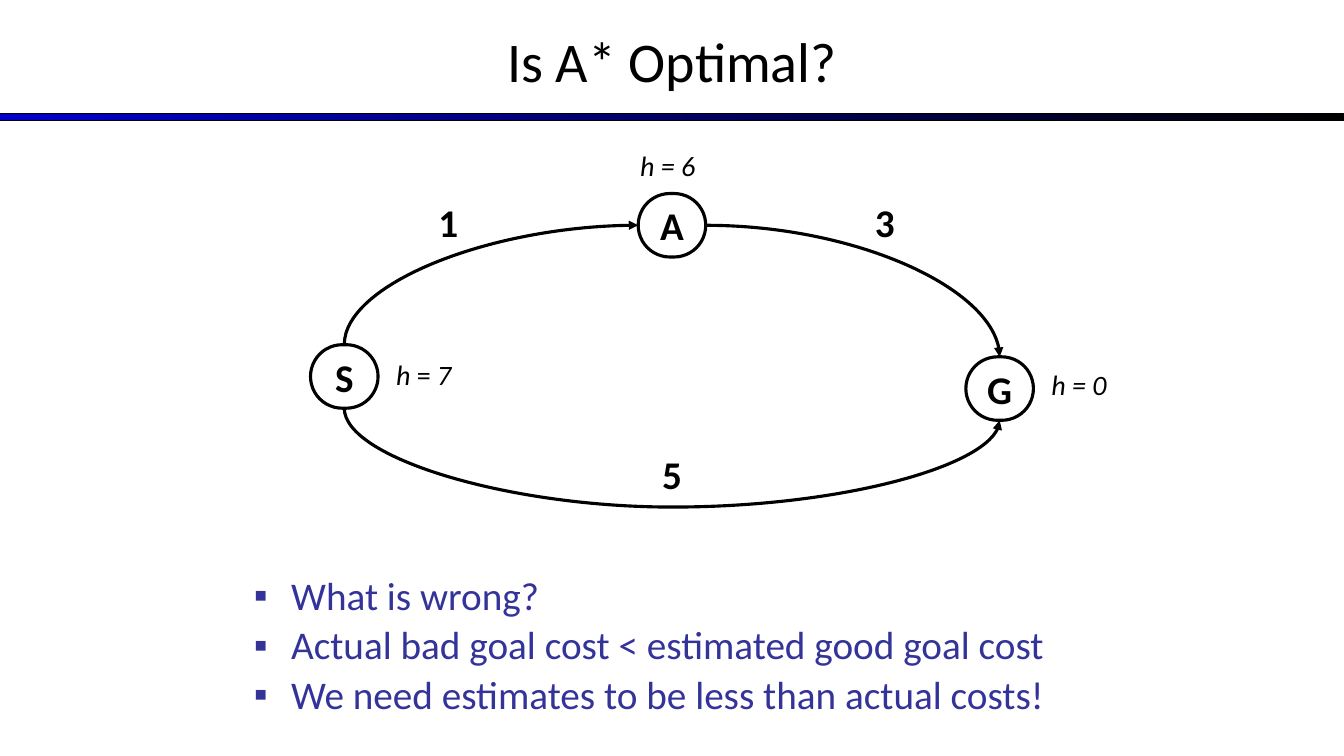
from math import cos, radians, sin

from lxml import etree
from pptx import Presentation
from pptx.dml.color import RGBColor
from pptx.enum.shapes import MSO_CONNECTOR, MSO_SHAPE
from pptx.enum.text import MSO_ANCHOR as Anchor, PP_ALIGN as Align
from pptx.oxml.ns import qn
from pptx.util import Inches, Pt

COLORS = {"ink": "000000", "rule": "0000CC", "bullet": "333399"}
FONT = "Calibri"
SLIDE_W, SLIDE_H = 13.33, 7.5
NODE_W, NODE_H = 0.67, 0.63
LINE_WIDTH = 2.25

TITLE = "Is A* Optimal?"
POINTS = [
    "What is wrong?",
    "Actual bad goal cost < estimated good goal cost",
    "We need estimates to be less than actual costs!",
]
NODES = {"A": (6.33, 1.92), "G": (9.58, 3.54), "S": (3.08, 3.42)}
# text, left, top, width, alignment
COSTS = [
    ("1", 4.25, 1.92, 0.5, Align.LEFT),
    ("3", 8.58, 1.92, 0.5, Align.LEFT),
    ("5", 0, 4.42, SLIDE_W, Align.CENTER),
]
# (text, italic) runs, left, top, width
HEURISTICS = [
    ([("h = 6", True)], 6.25, 1.42, 1),
    ([("h = 0", True)], 10.33, 3.6, 1),
    ([("h", True), (" = ", False), ("7", True)], 3.83, 3.5, 0.83),
]
# start node and side, end node and side, preset, rotation, sag below the start
EDGES = [
    ("S", "bottom", "G", "bottom", "curvedConnector3", 270, 0.98),
    ("S", "top", "A", "left", "curvedConnector2", 90, None),
    ("A", "right", "G", "top", "curvedConnector2", 0, None),
]
SIDES = {"top": (0.5, 0), "left": (0, 0.5), "bottom": (0.5, 1), "right": (1, 0.5)}


def rgb(name):
    return RGBColor.from_string(COLORS[name])


def add_run(paragraph, text, size, color="ink", **styles):
    run = paragraph.add_run()
    run.text = text
    run.font.color.rgb = rgb(color)
    for key, value in {"name": FONT, "size": Pt(size), **styles}.items():
        setattr(run.font, key, value)


def add_box(slide, left, top, width, height, anchor=Anchor.TOP):
    box = slide.shapes.add_textbox(*map(Inches, (left, top, width, height)))
    box.text_frame.word_wrap = True
    box.text_frame.vertical_anchor = anchor
    return box.text_frame


def add_rule(slide):
    rule = slide.shapes.add_shape(
        MSO_SHAPE.RECTANGLE, 0, Inches(1.13), Inches(SLIDE_W), Inches(0.07))
    rule.shadow.inherit = False
    rule.fill.gradient()
    rule.fill.gradient_angle = 0
    for stop, name in zip(rule.fill.gradient_stops, ("rule", "ink")):
        stop.color.rgb = rgb(name)
    rule.line.color.rgb = rgb("ink")
    rule.line.width = Pt(0.75)


def add_points(slide):
    frame = add_box(slide, 2.42, 5.67, 10.47, 1.03)
    for i, point in enumerate(POINTS):
        paragraph = frame.paragraphs[0] if i == 0 else frame.add_paragraph()
        paragraph.line_spacing = 0.9
        paragraph.space_before = Pt(5 if i else 0)
        props = paragraph._p.get_or_add_pPr()
        props.set("marL", str(Inches(0.37)))
        props.set("indent", str(-Inches(0.37)))
        color = etree.SubElement(props, qn("a:buClr"))
        etree.SubElement(color, qn("a:srgbClr"), val=COLORS["bullet"])
        etree.SubElement(props, qn("a:buFont"), typeface="Arial")
        etree.SubElement(props, qn("a:buChar"), char="▪")
        add_run(paragraph, point, 28, "bullet")


def add_node(slide, name, left, top):
    node = slide.shapes.add_shape(
        MSO_SHAPE.ROUNDED_RECTANGLE, *map(Inches, (left, top, NODE_W, NODE_H)))
    node.shadow.inherit = False
    node.adjustments[0] = 0.5
    node.fill.background()
    node.line.color.rgb = rgb("ink")
    node.line.width = Pt(LINE_WIDTH)
    frame = node.text_frame
    frame.word_wrap = False
    frame.vertical_anchor = Anchor.MIDDLE
    frame.paragraphs[0].alignment = Align.CENTER
    add_run(frame.paragraphs[0], name, 28, bold=True)


def port(name, side):
    """Return the point in the middle of a node's side."""
    (left, top), (across, down) = NODES[name], SIDES[side]
    return left + across * NODE_W, top + down * NODE_H


def add_edge(slide, source, source_side, target, target_side, preset, rotation, sag):
    """Turn the end points back about their centre, then rotate the curve."""
    (x1, y1), (x2, y2) = port(source, source_side), port(target, target_side)
    mid_x, mid_y = (x1 + x2) / 2, (y1 + y2) / 2
    c, s = cos(radians(rotation)), sin(radians(rotation))
    ends = []
    for x, y in ((x1 - mid_x, y1 - mid_y), (x2 - mid_x, y2 - mid_y)):
        ends += [mid_x + x * c + y * s, mid_y - x * s + y * c]
    edge = slide.shapes.add_connector(MSO_CONNECTOR.CURVE, *map(Inches, ends))
    edge.line.color.rgb = rgb("ink")
    edge.line.width = Pt(LINE_WIDTH)
    props = edge._element.spPr
    props.find(qn("a:xfrm")).set("rot", str(rotation * 60000))
    geometry = props.find(qn("a:prstGeom"))
    geometry.set("prst", preset)
    if sag:
        guides = geometry.find(qn("a:avLst"))
        bend = round(sag / (y2 - y1) * 100000)
        etree.SubElement(guides, qn("a:gd"), name="adj1", fmla=f"val {bend}")
    etree.SubElement(props.find(qn("a:ln")), qn("a:tailEnd"), type="triangle")
    etree.SubElement(props, qn("a:effectLst"))


def main():
    deck = Presentation()
    deck.slide_width, deck.slide_height = Inches(SLIDE_W), Inches(SLIDE_H)
    slide = deck.slides.add_slide(deck.slide_layouts[6])

    add_rule(slide)
    title = add_box(slide, 0, -0.03, SLIDE_W, 1.25, Anchor.MIDDLE).paragraphs[0]
    title.alignment = Align.CENTER
    add_run(title, TITLE, 40)
    add_points(slide)

    for name, (left, top) in NODES.items():
        add_node(slide, name, left, top)
    for cost, left, top, width, alignment in COSTS:
        label = add_box(slide, left, top, width, 0.57).paragraphs[0]
        label.alignment = alignment
        add_run(label, cost, 28, bold=True)
    for runs, left, top, width in HEURISTICS:
        label = add_box(slide, left, top, width, 0.44).paragraphs[0]
        for text, italic in runs:
            add_run(label, text, 20, italic=italic)
    for edge in EDGES:
        add_edge(slide, *edge)

    deck.save("out.pptx")


if __name__ == "__main__":
    main()
